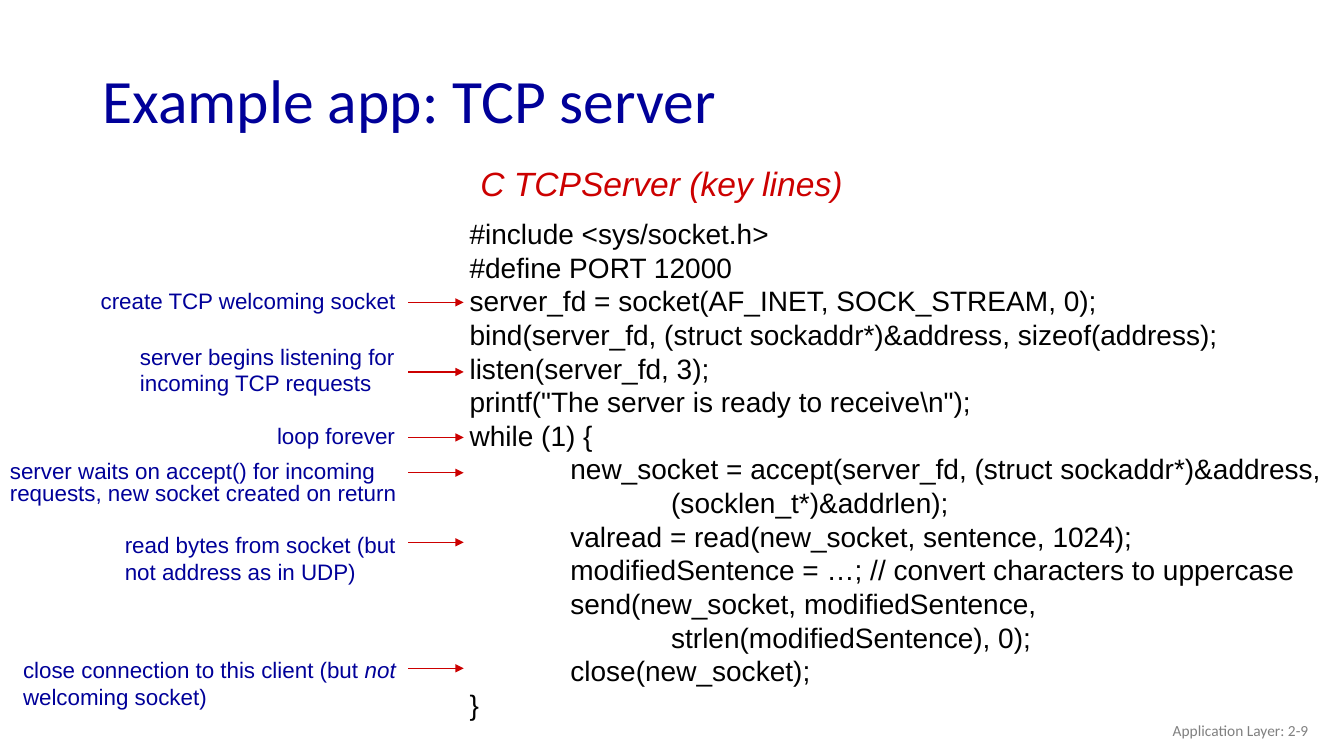
import pptx
import pptx.util
import pptx.dml.color
import pptx.enum.text
import pptx.enum.shapes
import pptx.oxml.ns
import lxml.etree

COLS, ROWS = 40, 22.5
NAVY, RED, BLACK, GRAY = "000099", "CC0000", "000000", "808080"
ALIGN = pptx.enum.text.PP_ALIGN
MIDDLE = pptx.enum.text.MSO_ANCHOR.MIDDLE

CODE = [
    (0, "#include <sys/socket.h>"),
    (0, "#define PORT 12000"),
    (0, "server_fd = socket(AF_INET, SOCK_STREAM, 0);"),
    (0, "bind(server_fd, (struct sockaddr*)&address, sizeof(address);"),
    (0, "listen(server_fd, 3);"),
    (0, 'printf("The server is ready to receive\\n");'),
    (0, "while (1) {"),
    (1, "new_socket = accept(server_fd, (struct sockaddr*)&address,"),
    (2, "(socklen_t*)&addrlen);"),
    (1, "valread = read(new_socket, sentence, 1024);"),
    (1, "modifiedSentence = …; // convert characters to uppercase"),
    (1, "send(new_socket, modifiedSentence,"),
    (2, "strlen(modifiedSentence), 0);"),
    (1, "close(new_socket);"),
    (0, "}"),
]

NOTES = [
    ((2.7, 8.4, 10.05, 1.1), 0.6, 1.2, ["create TCP welcoming socket"]),
    ((3.87, 10.05, 9.42, 1.9), 1.02, 1.2,
     ["server begins listening for incoming TCP requests"]),
    ((7.95, 12.54, 6.09, 1), 0.48, 1, ["loop forever"]),
    ((0, 13.59, 13, 1.65), 0.48, 1,
     ["server waits on accept() for incoming requests, new socket created on return"]),
    ((3.42, 15.66, 9, 1.9), 0.48, 1.2,
     ["read bytes from socket (but not address as in UDP)"]),
    ((0.39, 19.38, 12.81, 1.9), 0.51, 1.2,
     ["close connection to this client (but ", "not", " welcoming socket)"]),
]


def rgb(value):
    return pptx.dml.color.RGBColor.from_string(value)


def x(cols):
    return int(prs.slide_width * cols / COLS)


def y(rows):
    return int(prs.slide_height * rows / ROWS)


def place(box):
    left, top, width, height = box
    return x(left), y(top), x(width), y(height)


def style(p, size, color, name="Arial", leading=None, align=ALIGN.LEFT):
    p.font.size = pptx.util.Pt(size)
    p.font.name = name
    p.font.color.rgb = rgb(color)
    p.alignment = align
    if leading:
        p.line_spacing = pptx.util.Pt(round(size * leading, 1))


def text_frame(s, box):
    tf = s.shapes.add_textbox(*place(box)).text_frame
    tf.word_wrap = True
    return tf


def add_title(s, box):
    sp = s.shapes.title
    sp.left, sp.top, sp.width, sp.height = place(box)
    tf = sp.text_frame
    tf.text = "Example app: TCP server"
    tf.vertical_anchor = MIDDLE
    style(tf.paragraphs[0], 44, NAVY, "Calibri")


def add_heading(s, box):
    p = text_frame(s, box).paragraphs[0]
    p.text = "C TCPServer (key lines)"
    style(p, 24, RED, leading=1.2)
    p.font.italic = True


def add_code(s, box):
    tf = text_frame(s, box)
    tf.margin_right = 0
    for i, (level, line) in enumerate(CODE):
        p = tf.add_paragraph() if i else tf.paragraphs[0]
        p.text = line
        style(p, 20, BLACK, leading=1.2)
        p._p.get_or_add_pPr().set("marL", str(x(3 * level)))


def add_arrow(s, start, end, row):
    line = s.shapes.add_connector(
        pptx.enum.shapes.MSO_CONNECTOR.STRAIGHT, x(start), y(row), x(end), y(row))
    line.line.color.rgb = rgb(RED)
    line.line.width = pptx.util.Pt(1)
    qn = pptx.oxml.ns.qn
    lxml.etree.SubElement(line.line._get_or_add_ln(), qn("a:tailEnd"), type="triangle")
    lxml.etree.SubElement(line._element.spPr, qn("a:effectLst"))


def add_note(s, box, drop, leading, parts):
    p = text_frame(s, box).paragraphs[0]
    style(p, 16, NAVY, leading=leading)
    for i, part in enumerate(parts):
        r = p.add_run()
        r.text = part
        if i == 1:
            r.font.italic = True
    add_arrow(s, 12.15, 13.8, box[1] + drop)


def add_footer(s, box):
    tf = text_frame(s, box)
    tf.vertical_anchor = MIDDLE
    p = tf.paragraphs[0]
    p.text = "Application Layer: 2-9"
    style(p, 11, GRAY, "Calibri", align=ALIGN.RIGHT)


def add_server_slide():
    s = prs.slides.add_slide(prs.slide_layouts[5])
    add_title(s, (2.75, 1.47, 34.5, 2.94))
    add_code(s, (13.68, 6.3, 26.3, 15.45))
    add_heading(s, (14, 4.71, 12, 1.5))
    for note in NOTES:
        add_note(s, *note)
    add_footer(s, (30.24, 21.15, 9, 1.2))


prs = pptx.Presentation()
prs.slide_width = pptx.util.Inches(13.33)
prs.slide_height = pptx.util.Inches(7.5)
add_server_slide()
prs.save("out.pptx")
